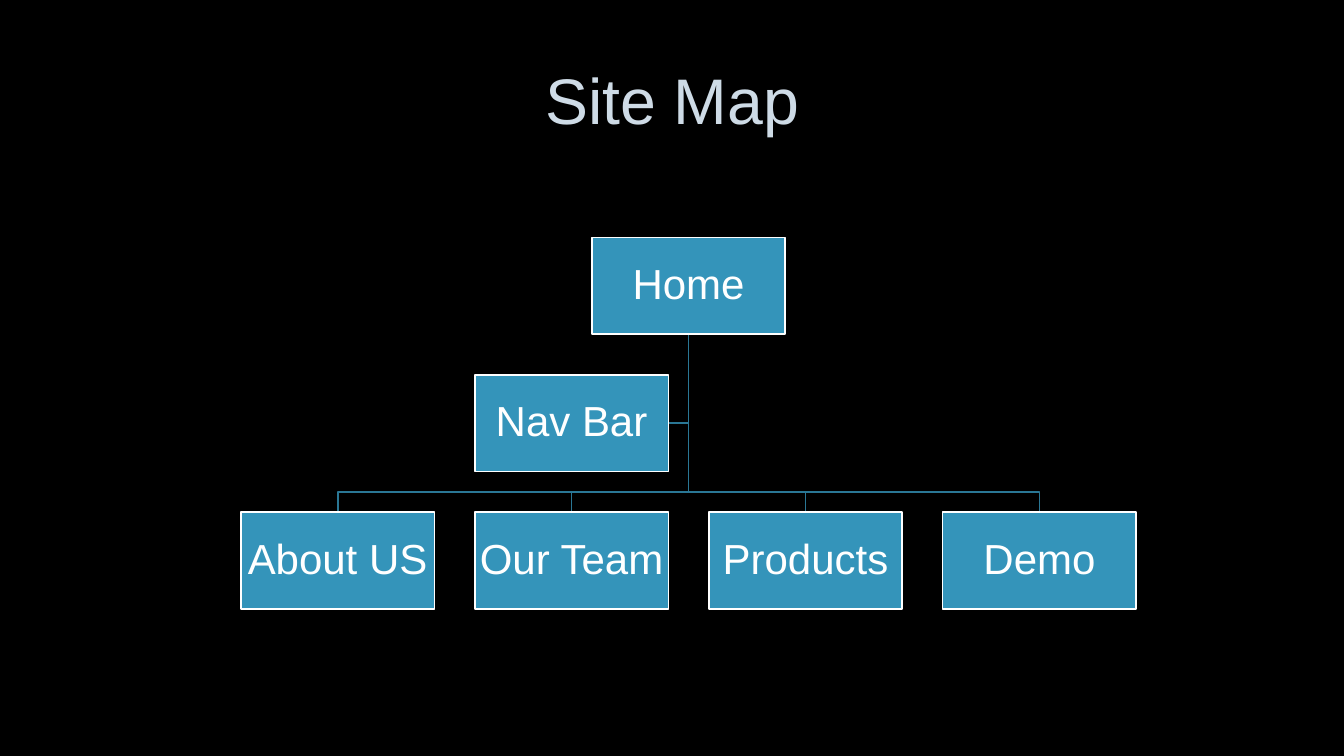
from pptx import Presentation
from pptx.dml.color import RGBColor
from pptx.enum import shapes, text
from pptx.util import Pt

# Content: label, column, row
TITLE = "Site Map"
HOME = ("Home", 1.5, 0)
NAV = ("Nav Bar", 1, 1)
PAGES = [(name, col, 2) for col, name in
         enumerate(("About US", "Our Team", "Products", "Demo"))]

FONT = "Arial"
BLACK = RGBColor(0x00, 0x00, 0x00)
WHITE = RGBColor(0xFF, 0xFF, 0xFF)
PALE = RGBColor(0xCE, 0xDB, 0xE6)
BLUE = RGBColor(0x34, 0x94, 0xBA)
TEAL = RGBColor(0x2A, 0x77, 0x95)

# Grid, in points
LEFT, TOP = 172, 169.6
WIDE, HIGH = 138.4, 69.2
COL_STEP, ROW_STEP = 167.1, 98.1
GAP = ROW_STEP - HIGH


def corner(col, row):
    return LEFT + col * COL_STEP, TOP + row * ROW_STEP


def add_label(frame, label, size, color):
    frame.word_wrap = True
    frame.vertical_anchor = text.MSO_ANCHOR.MIDDLE
    para = frame.paragraphs[0]
    para.alignment = text.PP_ALIGN.CENTER
    para.line_spacing = 0.9
    run = para.add_run()
    run.text = label
    run.font.name = FONT
    run.font.size = Pt(size)
    run.font.color.rgb = color


def add_branch(slide, points):
    start, *rest = [(Pt(x), Pt(y)) for x, y in points]
    pen = slide.shapes.build_freeform(*start)
    pen.add_line_segments(rest, close=False)
    branch = pen.convert_to_shape()
    branch.shadow.inherit = False
    branch.fill.background()
    branch.line.color.rgb = TEAL
    branch.line.width = Pt(1.25)


def add_box(slide, label, col, row):
    x, y = corner(col, row)
    box = slide.shapes.add_shape(shapes.MSO_SHAPE.RECTANGLE,
                                 Pt(x), Pt(y), Pt(WIDE), Pt(HIGH))
    box.shadow.inherit = False
    box.fill.solid()
    box.fill.fore_color.rgb = BLUE
    box.line.color.rgb = WHITE
    box.line.width = Pt(1.25)
    frame = box.text_frame
    frame.margin_left = frame.margin_right = Pt(1.5)
    frame.margin_top = frame.margin_bottom = Pt(1.5)
    add_label(frame, label, 30, WHITE)


def main():
    deck = Presentation()
    deck.slide_width, deck.slide_height = Pt(960), Pt(540)
    slide = deck.slides.add_slide(deck.slide_layouts[5])
    slide.background.fill.solid()
    slide.background.fill.fore_color.rgb = BLACK

    # Title
    title = slide.shapes.title
    title.left, title.top = Pt(72.7), Pt(24.5)
    title.width, title.height = Pt(815), Pt(99.4)
    add_label(title.text_frame, TITLE, 46, PALE)

    # Branches from the home box
    home_x, home_y = corner(*HOME[1:])
    stem = home_x + WIDE / 2
    foot = home_y + HIGH
    nav_x, nav_y = corner(*NAV[1:])
    mid = nav_y + HIGH / 2
    add_branch(slide, [(stem, foot), (stem, mid), (nav_x + WIDE, mid)])
    for _, col, row in PAGES:
        x, y = corner(col, row)
        end = x + WIDE / 2
        bus = y - GAP / 2
        add_branch(slide, [(stem, foot), (stem, bus), (end, bus), (end, y)])

    # Boxes
    for page in (HOME, *PAGES, NAV):
        add_box(slide, *page)

    deck.save("out.pptx")


if __name__ == "__main__":
    main()
